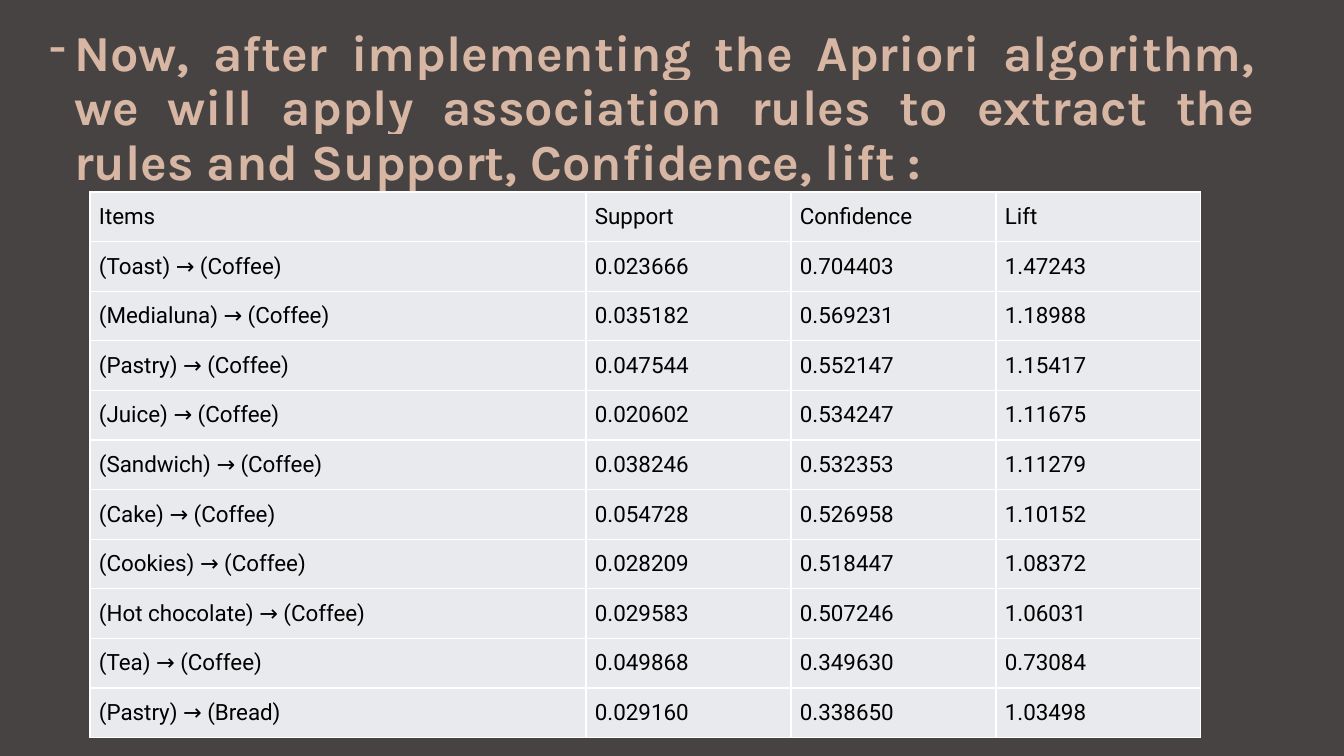
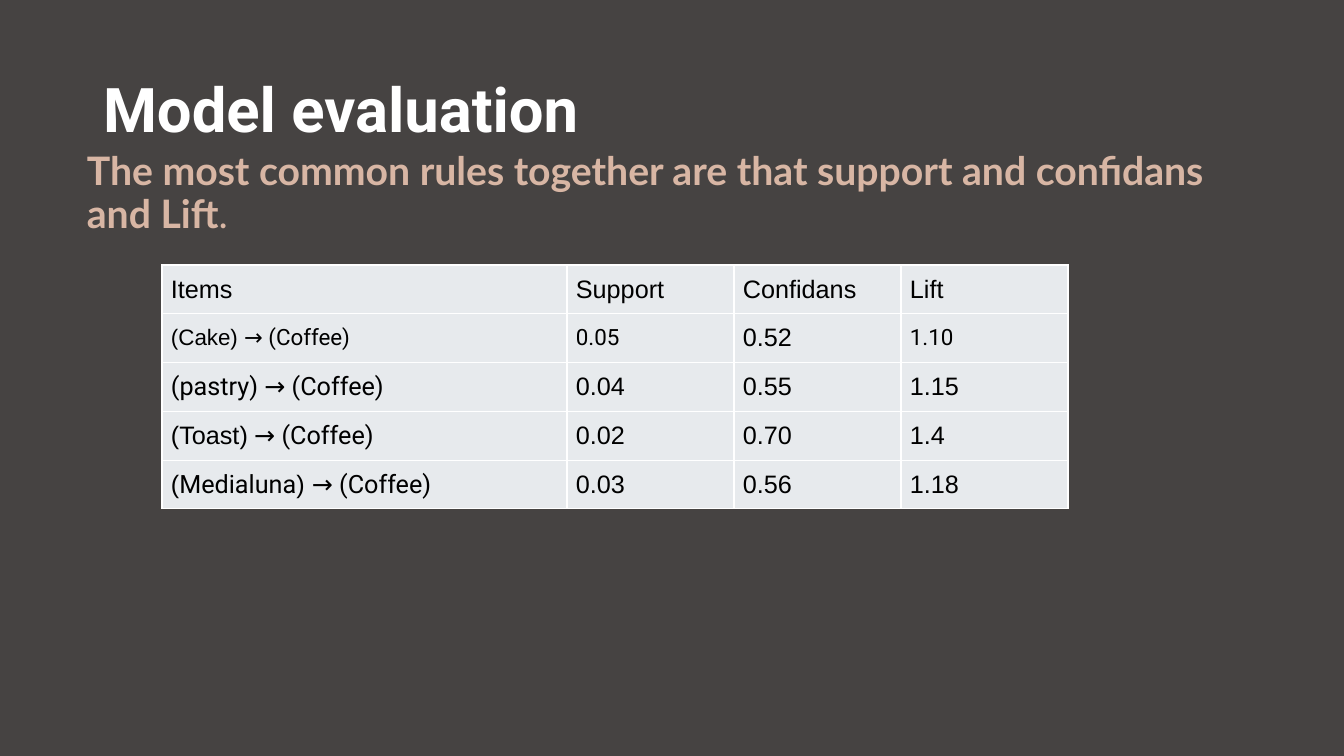
"""Build two slides on association rules, each with a title and a table."""
from lxml import etree
from pptx import Presentation
from pptx import util as u
from pptx.dml.color import RGBColor
from pptx.enum import text
from pptx.oxml.ns import qn

PX = u.Inches(1) / 100.8
DARK, SAND, WHITE, BLACK = "464342", "D8B6A4", "FFFFFF", "000000"


def colour(value):
    return RGBColor.from_string(value)


def write(para, words, name, size, tint, bold=False, highlight=None):
    span = para.add_run()
    span.text = words
    for key, value in {"name": name, "size": u.Pt(size), "bold": bold}.items():
        setattr(span.font, key, value)
    span.font.color.rgb = colour(tint)
    if highlight:
        mark = etree.Element(qn("a:highlight"))
        etree.SubElement(mark, qn("a:srgbClr"), val=highlight)
        span.font._element.find(qn("a:solidFill")).addnext(mark)


rules = [
    ["Items", "Support", "Confidence", "Lift"],
    ["(Toast) → (Coffee)", "0.023666", "0.704403", "1.47243"],
    ["(Medialuna) → (Coffee)", "0.035182", "0.569231", "1.18988"],
    ["(Pastry) → (Coffee)", "0.047544", "0.552147", "1.15417"],
    ["(Juice) → (Coffee)", "0.020602", "0.534247", "1.11675"],
    ["(Sandwich) → (Coffee)", "0.038246", "0.532353", "1.11279"],
    ["(Cake) → (Coffee)", "0.054728", "0.526958", "1.10152"],
    ["(Cookies) → (Coffee)", "0.028209", "0.518447", "1.08372"],
    ["(Hot chocolate) → (Coffee)", "0.029583", "0.507246", "1.06031"],
    ["(Tea) → (Coffee)", "0.049868", "0.349630", "0.73084"],
    ["(Pastry) → (Bread)", "0.029160", "0.338650", "1.03498"],
]
common_rules = [
    ["Items", "Support", "Confidans", "Lift"],
    [[("(Cake) ", "Arial", 16), ("→ (Coffee)", "Roboto", 16)],
     [("0.05", "Roboto", 16)], "0.52", [("1.10", "Roboto", 16)]],
    [[("(pastry) → (Coffee)", "Roboto", 18)], "0.04", "0.55", "1.15"],
    [[("(Toast)", "Arial", 18), (" → (Coffee)", "Roboto", 18)], "0.02", "0.70", "1.4"],
    [[("(", "Arial", 18), ("Medialuna", "Roboto", 18), (") ", "Arial", 18),
      ("→ (Coffee)", "Roboto", 18)], "0.03", "0.56", "1.18"],
]
slides = [
    {"title": "Now, after implementing the Apriori algorithm, we will apply association rules "
              "to extract the rules and Support, Confidence, lift :",
     "title_at": (39, 18, 1226, 183), "title_font": ("Karla", 36, SAND, True, DARK),
     "rows": rules, "table_at": (90, 192, 1111, 546), "number_width": 205,
     "font": ("Roboto", 16), "fill": "E8EAED"},
    {"title": "Model evaluation",
     "title_at": (93, 40, 1159, 146), "title_font": ("Roboto", 44, WHITE, True),
     "rows": common_rules, "table_at": (162, 265, 906, 244), "number_width": 167,
     "font": ("Arial", 18), "fill": "E7EAED"},
]

deck = Presentation()
deck.slide_width, deck.slide_height = round(1344 * PX), round(756 * PX)
backdrop = deck.slide_master.background.fill
backdrop.solid()
backdrop.fore_color.rgb = colour(DARK)

for content in slides:
    page = deck.slides.add_slide(deck.slide_layouts[5])
    title = page.shapes.title
    for side, length in zip(("left", "top", "width", "height"), content["title_at"]):
        setattr(title, side, round(length * PX))
    frame = title.text_frame
    for key, value in {"word_wrap": True, "auto_size": text.MSO_AUTO_SIZE.NONE,
                       "vertical_anchor": text.MSO_ANCHOR.MIDDLE}.items():
        setattr(frame, key, value)
    para = frame.paragraphs[0]
    para.alignment, para.line_spacing = text.PP_ALIGN.LEFT, 0.9
    write(para, content["title"], *content["title_font"])

    rows, number_width = content["rows"], content["number_width"]
    left, top, width, height = (round(length * PX) for length in content["table_at"])
    table = page.shapes.add_table(len(rows), len(rows[0]), left, top, width, height).table
    table.first_row = table.horz_banding = False
    item_width = content["table_at"][2] - 3 * number_width
    for column, length in zip(table.columns, [item_width] + [number_width] * 3):
        column.width = round(length * PX)
    for r, row in enumerate(rows):
        for c, spans in enumerate(row):
            cell = table.cell(r, c)
            for key, value in {"margin_left": 9, "margin_right": 9,
                               "margin_top": 4, "margin_bottom": 4}.items():
                setattr(cell, key, round(value * PX))
            cell.vertical_anchor = text.MSO_ANCHOR.MIDDLE
            if isinstance(spans, str):
                spans = [(spans, *content["font"])]
            for words, name, size in spans:
                write(cell.text_frame.paragraphs[0], words, name, size, BLACK)
            properties = cell._tc.get_or_add_tcPr()
            for edge in ("a:lnL", "a:lnR", "a:lnT", "a:lnB"):
                line = etree.SubElement(properties, qn(edge), w=str(int(u.Pt(1))))
                paint = etree.SubElement(line, qn("a:solidFill"))
                etree.SubElement(paint, qn("a:srgbClr"), val=WHITE)
            cell.fill.solid()
            cell.fill.fore_color.rgb = colour(content["fill"])

bullet_para = deck.slides[0].shapes.title.text_frame.paragraphs[0]
bullet_para.alignment = text.PP_ALIGN.JUSTIFY
bullet = bullet_para._p.get_or_add_pPr()
bullet.set("marL", str(round(25 * PX)))
bullet.set("indent", str(round(-25 * PX)))
etree.SubElement(bullet, qn("a:buChar"), char="-")

box = page.shapes.add_textbox(*(round(length * PX) for length in (77, 147, 1159, 100)))
box.text_frame.word_wrap = True
para = box.text_frame.paragraphs[0]
para.line_spacing, para.space_before = 0.9, u.Pt(10)
write(para, "The most common rules together are that support and confidans and Lift",
      "Lato", 28, SAND, True, DARK)
write(para, ".", "Lato", 28, SAND, False, DARK)

deck.save("out.pptx")
